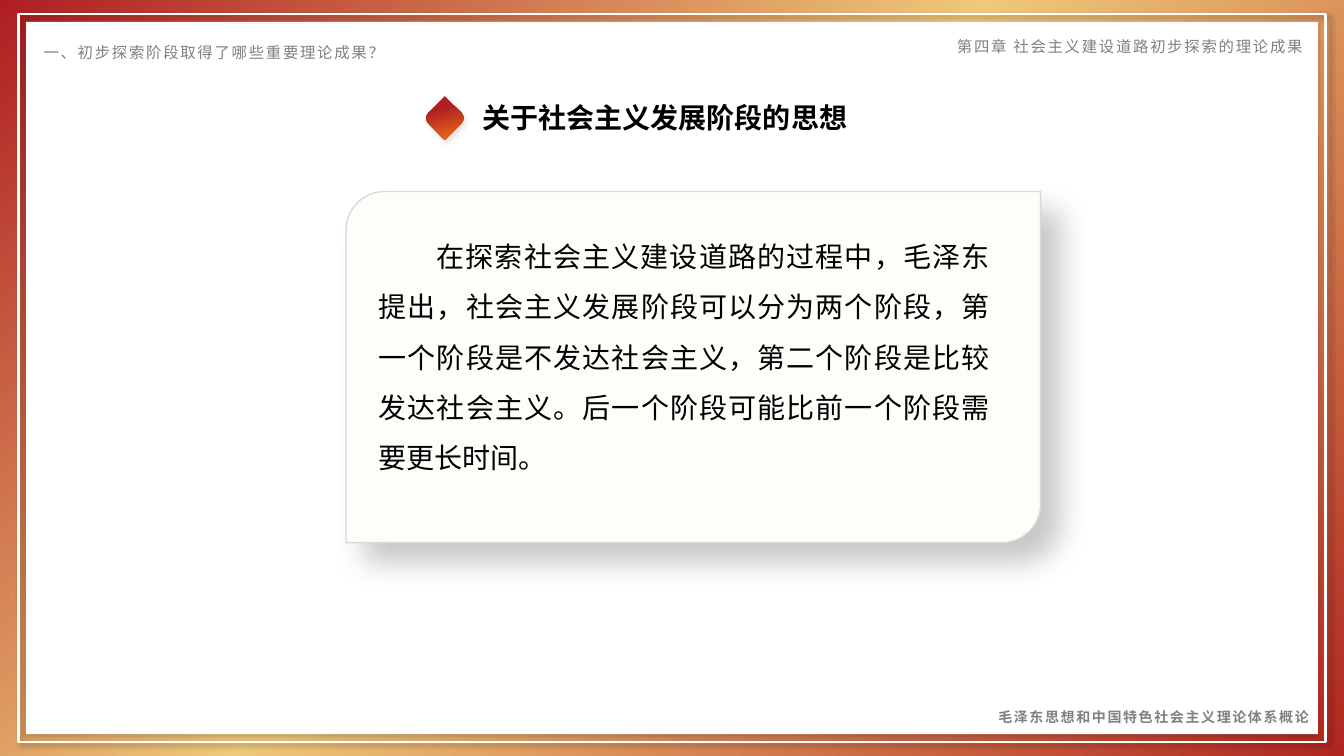
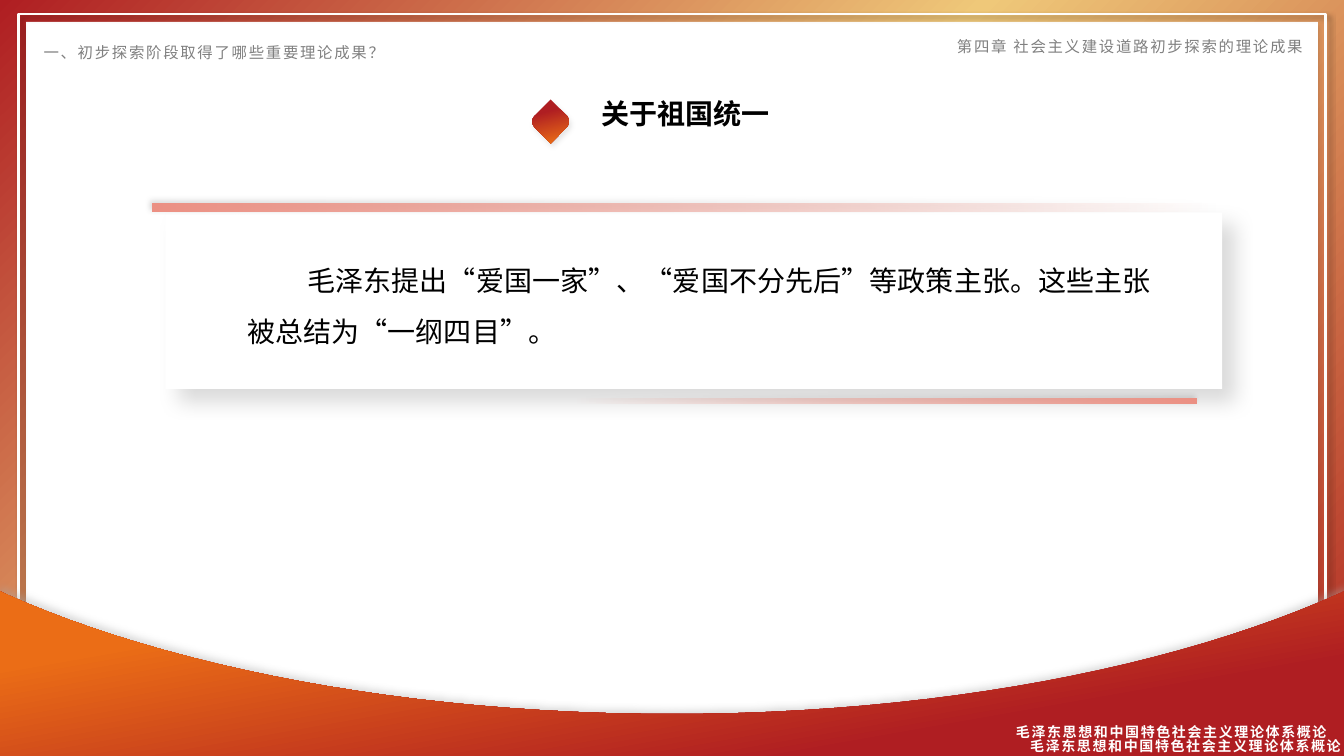
from pptx import Presentation
from pptx import util as u
from pptx.dml.color import RGBColor
from pptx.enum import shapes, text
from pptx.oxml import parse_xml
from pptx.oxml.ns import nsdecls, qn

COLUMNS, ROWS = 160, 90
WIDTH, HEIGHT = u.Inches(13.33), u.Inches(7.5)
FONT = "Noto Sans CJK SC"
BLACK, GREY, WHITE, CREAM = "000000", "808080", "FFFFFF", "FFFDFA"
FRAME_STOPS = [(0, "B0261F", 100), (53, "EFC879", 100), (100, "AF1E22", 100)]
DIAMOND_STOPS = [(30, "AF1E22", 100), (94, "EB6E16", 100)]
WAVE_STOPS = [(24, "AF1E22", 100), (81, "EB6D16", 100)]
BAR_STOPS = [(0, "ED9184", 100), (100, "ED9184", 0)]
SECTION = "一、初步探索阶段取得了哪些重要理论成果？"
CHAPTER = "第四章 社会主义建设道路初步探索的理论成果"
COURSE = "毛泽东思想和中国特色社会主义理论体系概论"


def color(value):
    return RGBColor.from_string(value)


def across(columns):
    return u.Emu(round(WIDTH * columns / COLUMNS))


def down(rows):
    return u.Emu(round(HEIGHT * rows / ROWS))


def place(left, top, width, height):
    return across(left), down(top), across(width), down(height)


def bezier(points, steps=24):
    for step in range(steps + 1):
        t = step / steps
        s = 1 - t
        weights = s**3, 3 * s * s * t, 3 * s * t * t, t**3
        yield tuple(
            sum(weight * point[axis] for weight, point in zip(weights, points))
            for axis in (0, 1)
        )


def alpha_color(value, opacity):
    return f'<a:srgbClr val="{value}"><a:alpha val="{opacity * 1000}"/></a:srgbClr>'


class Deck:
    def __init__(self):
        self.presentation = Presentation()
        self.presentation.slide_width = WIDTH
        self.presentation.slide_height = HEIGHT
        self.slide = None

    def new_slide(self):
        self.slide = self.presentation.slides.add_slide(self.presentation.slide_layouts[6])
        self.box(0, 0, COLUMNS, ROWS, gradient=(FRAME_STOPS, 225))
        self.inset(3.1, 2.6, fill=WHITE, shadow=(BLACK, 20, 4, 3, 90))
        self.inset(2.2, 1.7, line=(CREAM, 1.5), shadow=(BLACK, 40, 4, 3, 45))

    def inset(self, side, edge, **look):
        self.box(side, edge, COLUMNS - 2 * side, ROWS - 2 * edge, **look)

    def style(self, shape, fill=None, gradient=None, line=None, shadow=None):
        if fill:
            shape.fill.solid()
            shape.fill.fore_color.rgb = color(fill)
        else:
            shape.fill.background()
        if gradient:
            self.apply_gradient(shape, *gradient)
        if line:
            shape.line.color.rgb = color(line[0])
            shape.line.width = u.Pt(line[1])
        else:
            shape.line.fill.background()
        shape.shadow.inherit = False
        if shadow:
            self.apply_shadow(shape, *shadow)

    def apply_gradient(self, shape, stops, angle):
        stop_list = "".join(
            f'<a:gs pos="{position * 1000}">{alpha_color(value, opacity)}</a:gs>'
            for position, value, opacity in stops
        )
        properties = shape.element.spPr
        properties.replace(
            properties.find(qn("a:noFill")),
            parse_xml(
                f'<a:gradFill {nsdecls("a")} rotWithShape="1"><a:gsLst>{stop_list}</a:gsLst>'
                f'<a:lin ang="{angle * 60000}" scaled="0"/></a:gradFill>'
            ),
        )

    def apply_shadow(self, shape, value, opacity, blur, distance, angle):
        shape.element.spPr.find(qn("a:effectLst")).append(
            parse_xml(
                f'<a:outerShdw {nsdecls("a")} blurRad="{u.Pt(blur)}" dist="{u.Pt(distance)}" '
                f'dir="{angle * 60000}" algn="ctr" rotWithShape="0">'
                f"{alpha_color(value, opacity)}</a:outerShdw>"
            )
        )

    def box(self, left, top, width, height, corner=None, rotation=0, **look):
        kinds = shapes.MSO_SHAPE
        kind = kinds.RECTANGLE if corner is None else kinds.ROUND_2_DIAG_RECTANGLE
        shape = self.slide.shapes.add_shape(kind, *place(left, top, width, height))
        if corner is not None:
            shape.adjustments[0] = corner
            shape.adjustments[1] = 0
        shape.rotation = rotation
        self.style(shape, **look)

    def label(self, content, left, top, width, height, size=20, ink=BLACK, bold=False,
              align="JUSTIFY", leading=1.0, indent=0, tracking=0):
        shape = self.slide.shapes.add_textbox(*place(left, top, width, height))
        shape.text_frame.word_wrap = True
        paragraph = shape.text_frame.paragraphs[0]
        paragraph.alignment = text.PP_ALIGN[align]
        paragraph.line_spacing = leading
        if indent:
            paragraph._p.get_or_add_pPr().set("indent", str(across(indent)))
        run = paragraph.add_run()
        run.text = content
        font = run.font
        font.name, font.size, font.bold = FONT, u.Pt(size), bold
        font.color.rgb = color(ink)
        properties = run._r.get_or_add_rPr()
        properties.set("lang", "zh-CN")
        properties.set("spc", str(round(tracking * 100)))
        properties.append(parse_xml(f'<a:ea {nsdecls("a")} typeface="{FONT}"/>'))

    def title(self, content, left, top, width):
        self.label(content, left, top, width, 5.3, bold=True, align="CENTER")

    def diamond(self, left, top):
        self.box(left, top, 3.7, 3.7, corner=0.26, rotation=315,
                 gradient=(DIAMOND_STOPS, 120), shadow=(BLACK, 9, 4, 3, 60))

    def body(self, content, left, top, width, height, indent):
        self.label(content, left, top, width, height, leading=1.5, indent=indent)

    def headers(self):
        look = dict(size=11, ink=GREY, tracking=1.2)
        self.label(SECTION, 4, 4.1, 44.9, 3.8, leading=1.2, **look)
        self.label(CHAPTER, 111.5, 3.8, 44.8, 3.4, align="RIGHT", **look)

    def footer(self, left, top, ink):
        self.label(COURSE, left, top, 49.1, 3.8, size=10, ink=ink, bold=True,
                   align="RIGHT", leading=1.5, tracking=1.2)

    def wave(self):
        half = [(0, 70.4), *bezier([(0.4, 70.6), (20, 79.4), (48.4, 85), (80, 85)])]
        mirrored = [(COLUMNS - x, y) for x, y in reversed(half[:-1])]
        outline = [*half, *mirrored, (COLUMNS, ROWS), (0, ROWS)]
        points = [(across(x), down(y)) for x, y in outline]
        builder = self.slide.shapes.build_freeform(*points[0], scale=1.0)
        builder.add_line_segments(points[1:], close=True)
        self.style(builder.convert_to_shape(), gradient=(WAVE_STOPS, 260),
                   shadow=("A6A6A6", 40, 5, 4, 270))

    def bar(self, left, top, width, height, angle):
        self.box(left, top, width, height, gradient=(BAR_STOPS, angle),
                 shadow=(BLACK, 15, 4, 3, 225))


def stages_slide(deck):
    deck.new_slide()
    deck.title("关于社会主义发展阶段的思想", 51.2, 11.4, 55.9)
    deck.diamond(51.1, 12.2)
    deck.box(41.2, 22.8, 82.7, 41.8, corner=0.11, fill=CREAM, line=("D9D9D9", 1),
             shadow=(BLACK, 21, 21, 19, 45))
    deck.body("在探索社会主义建设道路的过程中，毛泽东提出，社会主义发展阶段可以分为两个阶段，"
              "第一个阶段是不发达社会主义，第二个阶段是比较发达社会主义。"
              "后一个阶段可能比前一个阶段需要更长时间。", 43.9, 25.9, 75.1, 31.4, indent=6.9)
    deck.footer(107.9, 82.8, GREY)
    deck.headers()


def unification_slide(deck):
    deck.new_slide()
    deck.title("关于祖国统一", 61, 10.9, 41.3)
    deck.diamond(63.7, 12.6)
    deck.wave()
    deck.footer(110, 84.5, WHITE)
    deck.headers()
    deck.box(19.7, 25.3, 125.8, 21, fill=WHITE, shadow=(BLACK, 15, 14, 12, 45))
    deck.bar(18.2, 24.2, 127.2, 1, angle=0)
    deck.bar(68.3, 47.5, 74.2, 0.6, angle=180)
    deck.body("毛泽东提出“爱国一家”、“爱国不分先后”等政策主张。这些主张被总结为“一纲四目”。",
              28.3, 28.8, 109.9, 13.3, indent=7.1)
    deck.footer(111.7, 86.2, WHITE)


def main():
    deck = Deck()
    stages_slide(deck)
    unification_slide(deck)
    deck.presentation.save("out.pptx")


if __name__ == "__main__":
    main()
